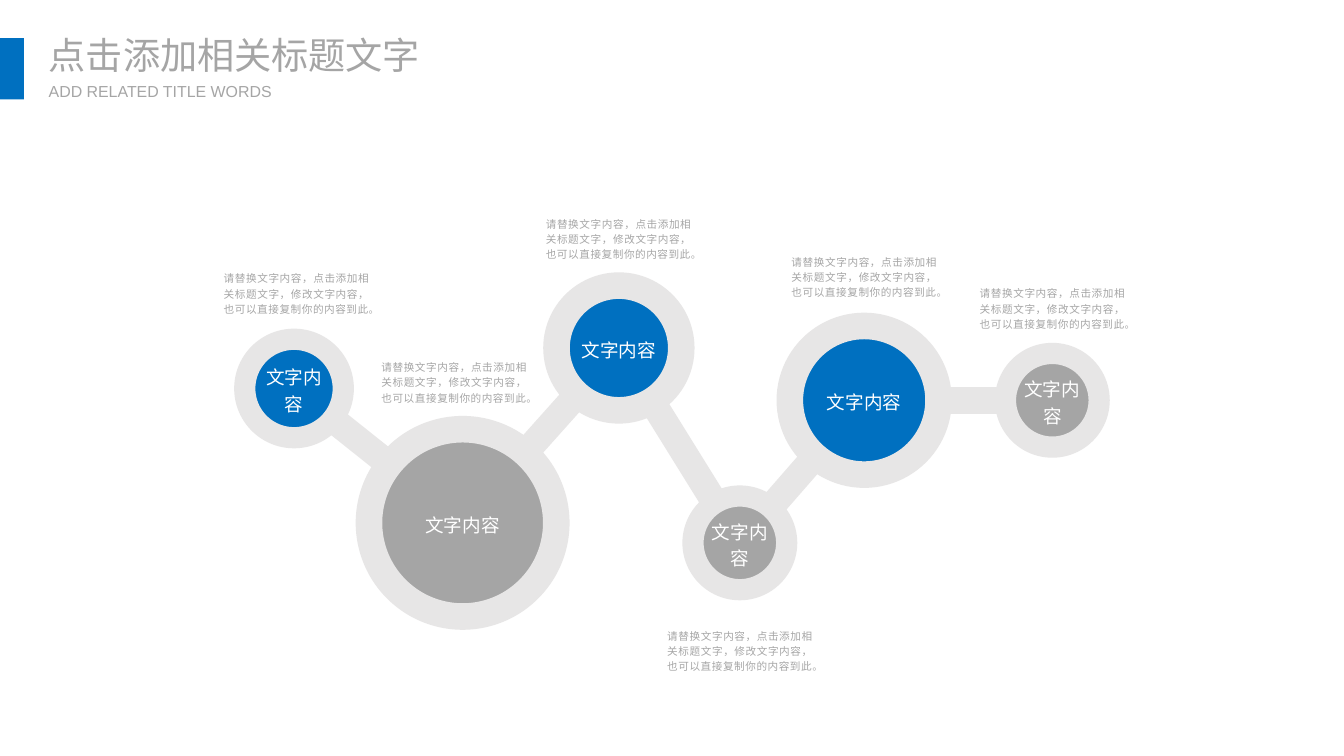
from itertools import pairwise
from typing import NamedTuple

from lxml.etree import SubElement
from pptx import Presentation
from pptx.dml.color import RGBColor
from pptx.enum.shapes import MSO_CONNECTOR, MSO_SHAPE
from pptx.enum.text import MSO_ANCHOR, MSO_AUTO_SIZE, PP_ALIGN
from pptx.oxml.ns import qn
from pptx.util import Inches, Pt

BLUE = RGBColor(0x00, 0x70, 0xC0)
GRAY = RGBColor(0xA5, 0xA5, 0xA5)
CAPTION_GRAY = RGBColor(0xA6, 0xA6, 0xA6)
RING_GRAY = RGBColor(0xE7, 0xE6, 0xE6)
WHITE = RGBColor(0xFF, 0xFF, 0xFF)

COLUMNS = 64
ROWS = 36
CAPTION_COLUMNS = 6.92
CAPTION_ROWS = 2.18
LABEL = "文字内容"
CAPTION = "请替换文字内容，点击添加相关标题文字，修改文字内容，也可以直接复制你的内容到此。"


class Node(NamedTuple):
    column: float
    row: float
    diameter: float
    ring: int
    color: RGBColor
    caption_column: float
    caption_row: float


NODES = [
    Node(14, 18.5, 4.69, 16, BLUE, 10.65, 12.84),
    Node(22.03, 24.9, 8.92, 20, GRAY, 18.16, 17.07),
    Node(29.47, 16.57, 5.94, 20, BLUE, 25.99, 10.24),
    Node(35.23, 25.85, 4.46, 16, GRAY, 31.77, 29.86),
    Node(41.15, 19.06, 7.08, 20, BLUE, 37.69, 12.06),
    Node(50.11, 19.06, 4.46, 16, GRAY, 46.65, 13.56),
]


class SlideBuilder:
    font_name = "Arial"

    def __init__(self, deck):
        self.page = deck.slides.add_slide(deck.slide_layouts[5])
        self.column_width = deck.slide_width / COLUMNS
        self.row_height = deck.slide_height / ROWS

    def across(self, columns):
        return round(columns * self.column_width)

    def down(self, rows):
        return round(rows * self.row_height)

    def area(self, column, row, columns, rows):
        return self.across(column), self.down(row), self.across(columns), self.down(rows)

    def add_text(self, frame, text, size, color, align, spacing):
        para = frame.paragraphs[0]
        para.alignment = align
        para.line_spacing = spacing
        span = para.add_run()
        span.text = text
        span.font.name = self.font_name
        span.font.size = Pt(size)
        span.font.color.rgb = color

    def clear_margins(self, frame):
        frame.margin_left = frame.margin_right = 0
        frame.margin_top = frame.margin_bottom = 0

    def heading(self, box, text, size):
        frame = box.text_frame
        frame.word_wrap = False
        frame.auto_size = MSO_AUTO_SIZE.SHAPE_TO_FIT_TEXT
        frame.vertical_anchor = MSO_ANCHOR.TOP
        self.add_text(frame, text, size, GRAY, PP_ALIGN.LEFT, 1.0)

    def title(self, text, *place):
        box = self.page.shapes.title
        box.left, box.top, box.width, box.height = self.area(*place)
        self.heading(box, text, 28)

    def subtitle(self, text, *place):
        self.heading(self.page.shapes.add_textbox(*self.area(*place)), text, 12)

    def shape(self, kind, color, *place):
        shape = self.page.shapes.add_shape(kind, *self.area(*place))
        shape.shadow.inherit = False
        shape.fill.solid()
        shape.fill.fore_color.rgb = color
        return shape

    def bar(self, *place):
        self.shape(MSO_SHAPE.RECTANGLE, BLUE, *place).line.fill.background()

    def link(self, start, end):
        link = self.page.shapes.add_connector(
            MSO_CONNECTOR.STRAIGHT,
            self.across(start.column), self.down(start.row),
            self.across(end.column), self.down(end.row),
        )
        link.line.color.rgb = RING_GRAY
        link.line.width = Pt(20)
        SubElement(link._element.spPr, qn("a:effectLst"))

    def circle(self, node):
        radius = node.diameter / 2
        circle = self.shape(
            MSO_SHAPE.OVAL, node.color,
            node.column - radius, node.row - radius, node.diameter, node.diameter,
        )
        circle.line.color.rgb = RING_GRAY
        circle.line.width = Pt(node.ring)
        frame = circle.text_frame
        frame.word_wrap = True
        frame.vertical_anchor = MSO_ANCHOR.MIDDLE
        self.clear_margins(frame)
        self.add_text(frame, LABEL, 14, WHITE, PP_ALIGN.CENTER, 1.2)

    def caption(self, node):
        box = self.page.shapes.add_textbox(
            *self.area(node.caption_column, node.caption_row, CAPTION_COLUMNS, CAPTION_ROWS)
        )
        frame = box.text_frame
        frame.word_wrap = True
        frame.auto_size = MSO_AUTO_SIZE.SHAPE_TO_FIT_TEXT
        self.clear_margins(frame)
        self.add_text(frame, CAPTION, 8, CAPTION_GRAY, PP_ALIGN.JUSTIFY, 1.2)


def main():
    deck = Presentation()
    deck.slide_width = Inches(14.06)
    deck.slide_height = Inches(7.91)
    builder = SlideBuilder(deck)
    builder.title("点击添加相关标题文字", 1.87, 1.32, 18.84, 2.64)
    builder.subtitle("ADD RELATED TITLE WORDS", 1.87, 3.64, 11.7, 1.41)
    builder.bar(0, 1.82, 1.14, 2.91)
    for start, end in pairwise(NODES):
        builder.link(start, end)
    for node in NODES:
        builder.circle(node)
        builder.caption(node)
    deck.save("out.pptx")


if __name__ == "__main__":
    main()
